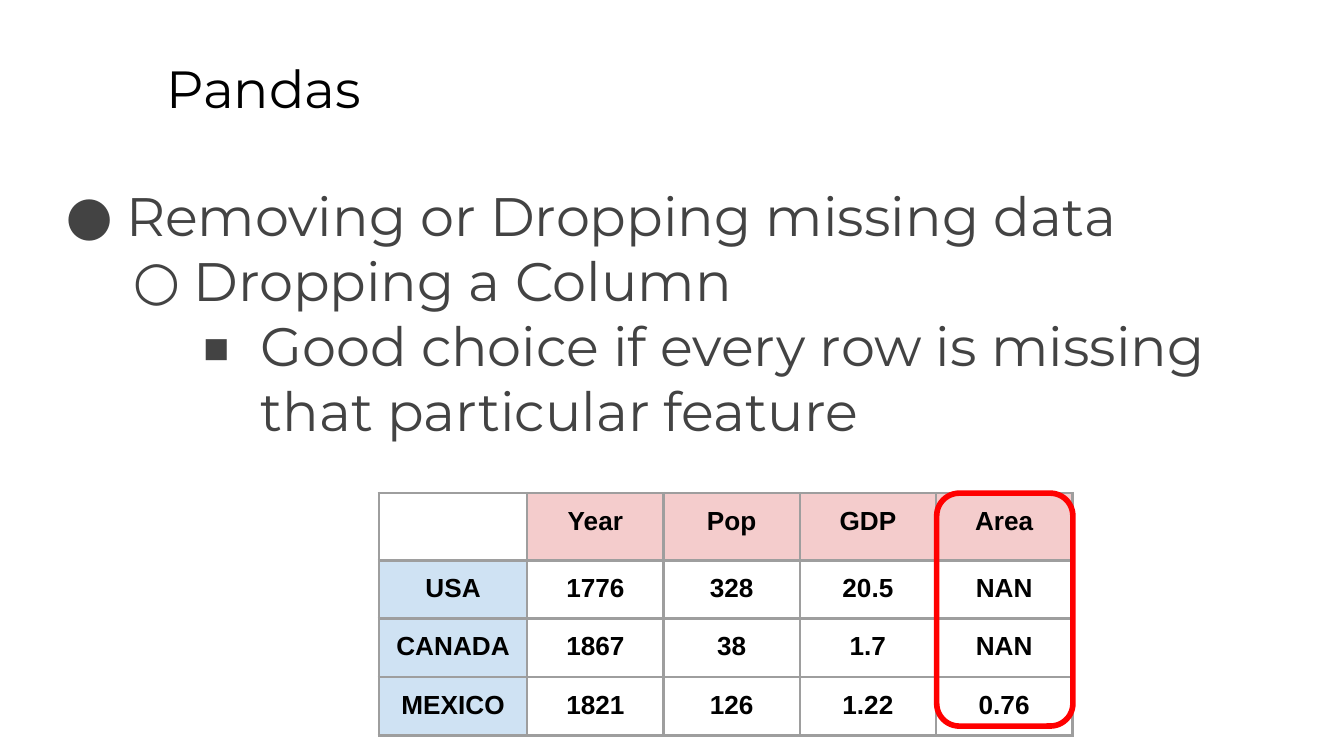
import dataclasses
import typing

import lxml.etree
import pptx
import pptx.dml.color
import pptx.enum.shapes
import pptx.enum.text
import pptx.oxml.ns
import pptx.util

Pt = pptx.util.Pt
qn = pptx.oxml.ns.qn

COLORS = {
    "title": "000000",
    "body": "434343",
    "cell": "000000",
    "column_header": "F4CCCC",
    "row_header": "CFE2F3",
    "border": "9E9E9E",
    "highlight": "FF0000",
}
TITLE_FORMAT = {"name": "Montserrat", "size": Pt(28)}
BODY_FORMAT = {"name": "Montserrat", "size": Pt(29)}
CELL_FORMAT = {"name": "Arial", "size": Pt(14), "bold": True}
INSET = 7.2


@dataclasses.dataclass
class Box:
    left: float
    top: float
    width: float
    height: float

    def lengths(self) -> list:
        return [Pt(value) for value in dataclasses.astuple(self)]


@dataclasses.dataclass
class Bullet:
    text: str
    level: int
    symbol: str


BULLETS = [
    Bullet("Removing or Dropping missing data", 0, "●"),
    Bullet("Dropping a Column", 1, "○"),
    Bullet("Good choice if every row is missing that particular feature", 2, "■"),
]
TABLE_ROWS = [
    ["", "Year", "Pop", "GDP", "Area"],
    ["USA", "1776", "328", "20.5", "NAN"],
    ["CANADA", "1867", "38", "1.7", "NAN"],
    ["MEXICO", "1821", "126", "1.22", "0.76"],
]
COLUMN_WIDTHS = [79.5] + [73] * 4
ROW_HEIGHTS = [35] + [31.2] * 3


def rgb(name: str) -> pptx.dml.color.RGBColor:
    return pptx.dml.color.RGBColor.from_string(COLORS[name])


def set_insets(target: typing.Any) -> None:
    for side in ("left", "top", "right", "bottom"):
        setattr(target, f"margin_{side}", Pt(INSET))


def add_run(paragraph: typing.Any, text: str, values: dict, color: str) -> None:
    run = paragraph.add_run()
    run.text = text
    for name, value in values.items():
        setattr(run.font, name, value)
    run.font.color.rgb = rgb(color)


def add_text_frame(slide: typing.Any, box: Box) -> typing.Any:
    frame = slide.shapes.add_textbox(*box.lengths()).text_frame
    frame.word_wrap = True
    frame.vertical_anchor = pptx.enum.text.MSO_ANCHOR.TOP
    set_insets(frame)
    return frame


def add_bullets(frame: typing.Any, bullets: list[Bullet]) -> None:
    for index, bullet in enumerate(bullets):
        paragraph = frame.add_paragraph() if index else frame.paragraphs[0]
        paragraph.level = bullet.level
        add_run(paragraph, bullet.text, BODY_FORMAT, "body")
        properties = paragraph._p.get_or_add_pPr()
        properties.set("marL", str(Pt(36 * (bullet.level + 1))))
        properties.set("indent", str(-Pt(32.4)))
        bullet_color = lxml.etree.SubElement(properties, qn("a:buClr"))
        lxml.etree.SubElement(bullet_color, qn("a:srgbClr"), val=COLORS["body"])
        lxml.etree.SubElement(properties, qn("a:buFont"), typeface="Montserrat")
        lxml.etree.SubElement(properties, qn("a:buChar"), char=bullet.symbol)


def style_cell(cell: typing.Any, text: str, fill: str | None) -> None:
    set_insets(cell)
    properties = cell._tc.get_or_add_tcPr()
    for side in ("lnL", "lnR", "lnT", "lnB"):
        line = lxml.etree.SubElement(properties, qn(f"a:{side}"), w=str(Pt(1.5)))
        solid = lxml.etree.SubElement(line, qn("a:solidFill"))
        lxml.etree.SubElement(solid, qn("a:srgbClr"), val=COLORS["border"])
    if fill:
        cell.fill.solid()
        cell.fill.fore_color.rgb = rgb(fill)
    else:
        cell.fill.background()
    if text:
        paragraph = cell.text_frame.paragraphs[0]
        paragraph.alignment = pptx.enum.text.PP_ALIGN.CENTER
        add_run(paragraph, text, CELL_FORMAT, "cell")


def add_data_table(slide: typing.Any, left: float, top: float) -> None:
    box = Box(left, top, sum(COLUMN_WIDTHS), sum(ROW_HEIGHTS))
    table = slide.shapes.add_table(
        len(ROW_HEIGHTS), len(COLUMN_WIDTHS), *box.lengths()
    ).table
    table.horz_banding = False
    table.first_row = False
    for column, width in zip(table.columns, COLUMN_WIDTHS):
        column.width = Pt(width)
    for row_index, values in enumerate(TABLE_ROWS):
        table.rows[row_index].height = Pt(ROW_HEIGHTS[row_index])
        for column_index, text in enumerate(values):
            fill = None
            if row_index == 0 and column_index > 0:
                fill = "column_header"
            elif row_index > 0 and column_index == 0:
                fill = "row_header"
            style_cell(table.cell(row_index, column_index), text, fill)


def add_highlight(slide: typing.Any, box: Box) -> None:
    shape = slide.shapes.add_shape(
        pptx.enum.shapes.MSO_SHAPE.ROUNDED_RECTANGLE, *box.lengths()
    )
    shape.shadow.inherit = False
    shape.fill.background()
    shape.line.color.rgb = rgb("highlight")
    shape.line.width = Pt(3)


def main() -> None:
    presentation = pptx.Presentation()
    presentation.slide_width = Pt(720)
    presentation.slide_height = Pt(405)
    slide = presentation.slides.add_slide(presentation.slide_layouts[6])

    # Title
    title = add_text_frame(slide, Box(82, 23, 613.5, 45.4))
    add_run(title.paragraphs[0], "Pandas", TITLE_FORMAT, "title")

    # Bulleted text
    add_bullets(add_text_frame(slide, Box(24.5, 90.7, 684, 269.3)), BULLETS)

    # Country table with the column to drop outlined
    add_data_table(slide, 203, 264.2)
    add_highlight(slide, Box(501.8, 264.2, 73, 124.8))

    presentation.save("out.pptx")


if __name__ == "__main__":
    main()
